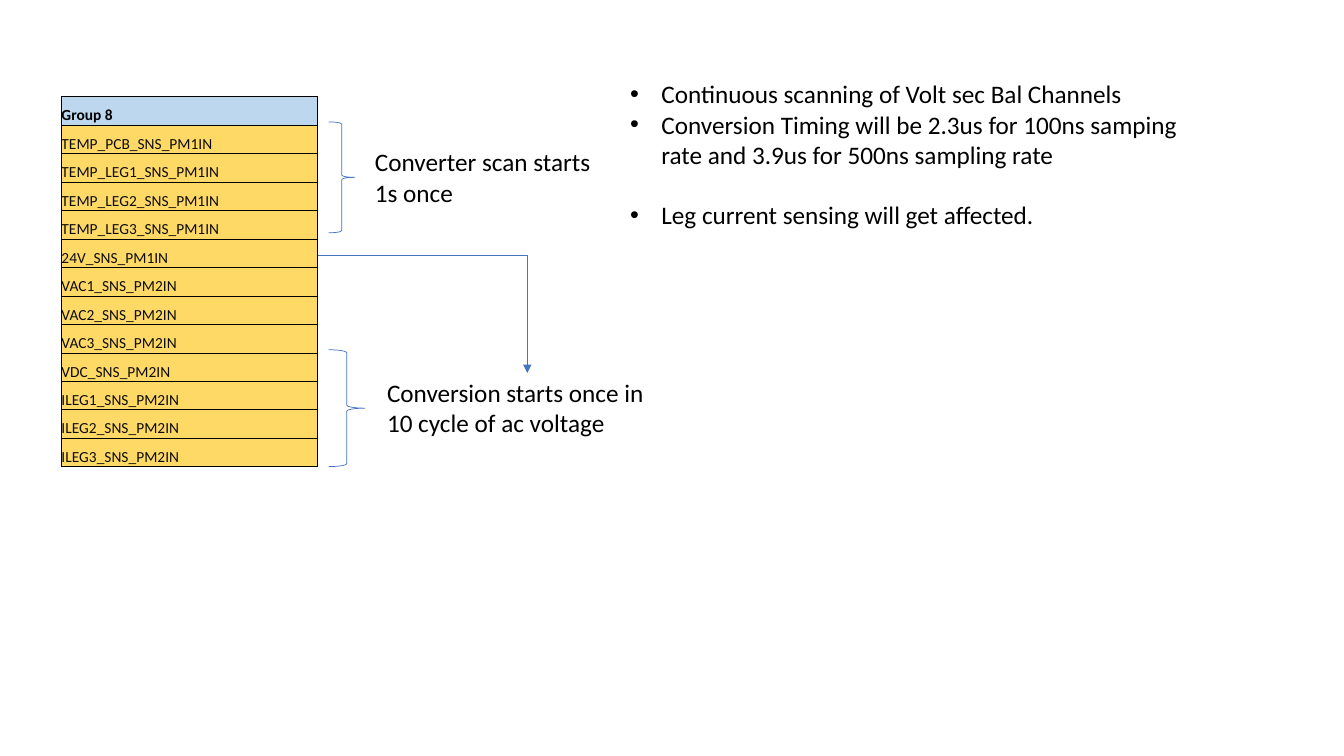
import dataclasses
import lxml.etree
import pptx
import pptx.dml.color
import pptx.enum.shapes
import pptx.enum.text
import pptx.oxml.ns
import pptx.util

Inches = pptx.util.Inches
Pt = pptx.util.Pt
qn = pptx.oxml.ns.qn


def rgb(code):
    return pptx.dml.color.RGBColor.from_string(code)


@dataclasses.dataclass(frozen=True)
class Theme:
    font: str = "Calibri"
    ink: str = "000000"
    soft: str = "0D0D0D"
    head: str = "BDD7EE"
    row: str = "FFD966"
    line: str = "4472C4"
    text: int = 18
    cell: int = 11
    thin: float = 0.5


THEME = Theme()
GROUP = ["Group 8", "TEMP_PCB_SNS_PM1IN", "TEMP_LEG1_SNS_PM1IN",
         "TEMP_LEG2_SNS_PM1IN", "TEMP_LEG3_SNS_PM1IN", "24V_SNS_PM1IN",
         "VAC1_SNS_PM2IN", "VAC2_SNS_PM2IN", "VAC3_SNS_PM2IN",
         "VDC_SNS_PM2IN", "ILEG1_SNS_PM2IN", "ILEG2_SNS_PM2IN",
         "ILEG3_SNS_PM2IN"]
NOTES = ["Continuous scanning of Volt sec Bal Channels",
         "Conversion Timing will be 2.3us for 100ns samping rate "
         "and 3.9us for 500ns sampling rate",
         "Leg current sensing will get affected."]


def style(para, size, color, bold=False):
    font = para.font
    font.name, font.size, font.bold = THEME.font, Pt(size), bold
    font.color.rgb = rgb(color)


def stroke(shape):
    shape.line.color.rgb = rgb(THEME.line)
    shape.line.width = Pt(THEME.thin)


def border(cell):
    props = cell._tc.get_or_add_tcPr()
    for spot, side in enumerate(("lnL", "lnR", "lnT", "lnB")):
        edge = lxml.etree.Element(qn("a:" + side), w=str(Pt(THEME.thin)))
        fill = lxml.etree.SubElement(edge, qn("a:solidFill"))
        lxml.etree.SubElement(fill, qn("a:srgbClr"), val=THEME.ink)
        props.insert(spot, edge)


# Channel table
def add_group(slide, left, top, width, height):
    table = slide.shapes.add_table(
        len(GROUP), 1, Inches(left), Inches(top), Inches(width),
        Inches(height)).table
    table.first_row = table.horz_banding = False
    for i, name in enumerate(GROUP):
        table.rows[i].height = Inches(height / len(GROUP))
        cell = table.cell(i, 0)
        cell.margin_left = cell.margin_right = 0
        cell.margin_top = cell.margin_bottom = 0
        cell.vertical_anchor = pptx.enum.text.MSO_ANCHOR.BOTTOM
        cell.text = name
        first = i == 0
        style(cell.text_frame.paragraphs[0], THEME.cell,
              THEME.ink if first else THEME.soft, first)
        cell.fill.solid()
        cell.fill.fore_color.rgb = rgb(THEME.head if first else THEME.row)
        border(cell)


# Brace with its label, centred on the brace's height
def add_brace(slide, left, top, width, height, text, gap, span):
    brace = slide.shapes.add_shape(
        pptx.enum.shapes.MSO_SHAPE.RIGHT_BRACE, Inches(left), Inches(top),
        Inches(width), Inches(height))
    brace.shadow.inherit = False
    brace.fill.background()
    stroke(brace)
    tall = 0.71
    label = slide.shapes.add_textbox(
        Inches(left + width + gap), Inches(top + (height - tall) / 2),
        Inches(span), Inches(tall))
    frame = label.text_frame
    frame.word_wrap = True
    frame.auto_size = pptx.enum.text.MSO_AUTO_SIZE.SHAPE_TO_FIT_TEXT
    frame.text = text
    style(frame.paragraphs[0], THEME.text, THEME.ink)


# Elbow arrow: across, then down
def add_arrow(slide, left, top, width, height):
    arrow = slide.shapes.add_connector(
        pptx.enum.shapes.MSO_CONNECTOR.ELBOW, Inches(left), Inches(top),
        Inches(left + width), Inches(top + height))
    stroke(arrow)
    props = arrow._element.spPr
    props.find(qn("a:prstGeom")).set("prst", "bentConnector2")
    lxml.etree.SubElement(arrow.line._get_or_add_ln(), qn("a:tailEnd"),
                          type="triangle")
    lxml.etree.SubElement(props, qn("a:effectLst"))


# Bulleted notes
def add_notes(slide, left, top, width, height):
    body = slide.placeholders[1]
    body.left, body.top = Inches(left), Inches(top)
    body.width, body.height = Inches(width), Inches(height)
    frame = body.text_frame
    frame.text = "\n".join(NOTES)
    frame.auto_size = pptx.enum.text.MSO_AUTO_SIZE.NONE
    for para in frame.paragraphs:
        style(para, THEME.text, THEME.ink)
        para.space_before = Pt(0)
        props = para._p.get_or_add_pPr()
        props.set("marL", str(Inches(0.31)))
        props.set("indent", str(Inches(-0.31)))
    frame.paragraphs[-1].space_before = Pt(1.2 * THEME.text)


def main():
    deck = pptx.Presentation()
    deck.slide_width, deck.slide_height = Inches(13.33), Inches(7.5)
    slide = deck.slides.add_slide(deck.slide_layouts[1])
    title = slide.shapes.title._element
    title.getparent().remove(title)
    add_group(slide, 0.61, 0.96, 2.54, 3.67)
    add_brace(slide, 3.26, 1.21, 0.26, 1.1,
              "Converter scan starts 1s once", 0.1, 2.44)
    add_notes(slide, 6.15, 0.73, 5.91, 1.62)
    add_brace(slide, 3.26, 3.47, 0.36, 1.16,
              "Conversion starts once in 10 cycle of ac voltage", 0.12, 2.99)
    add_arrow(slide, 3.15, 2.53, 2.08, 1.17)
    deck.save("out.pptx")


if __name__ == "__main__":
    main()
